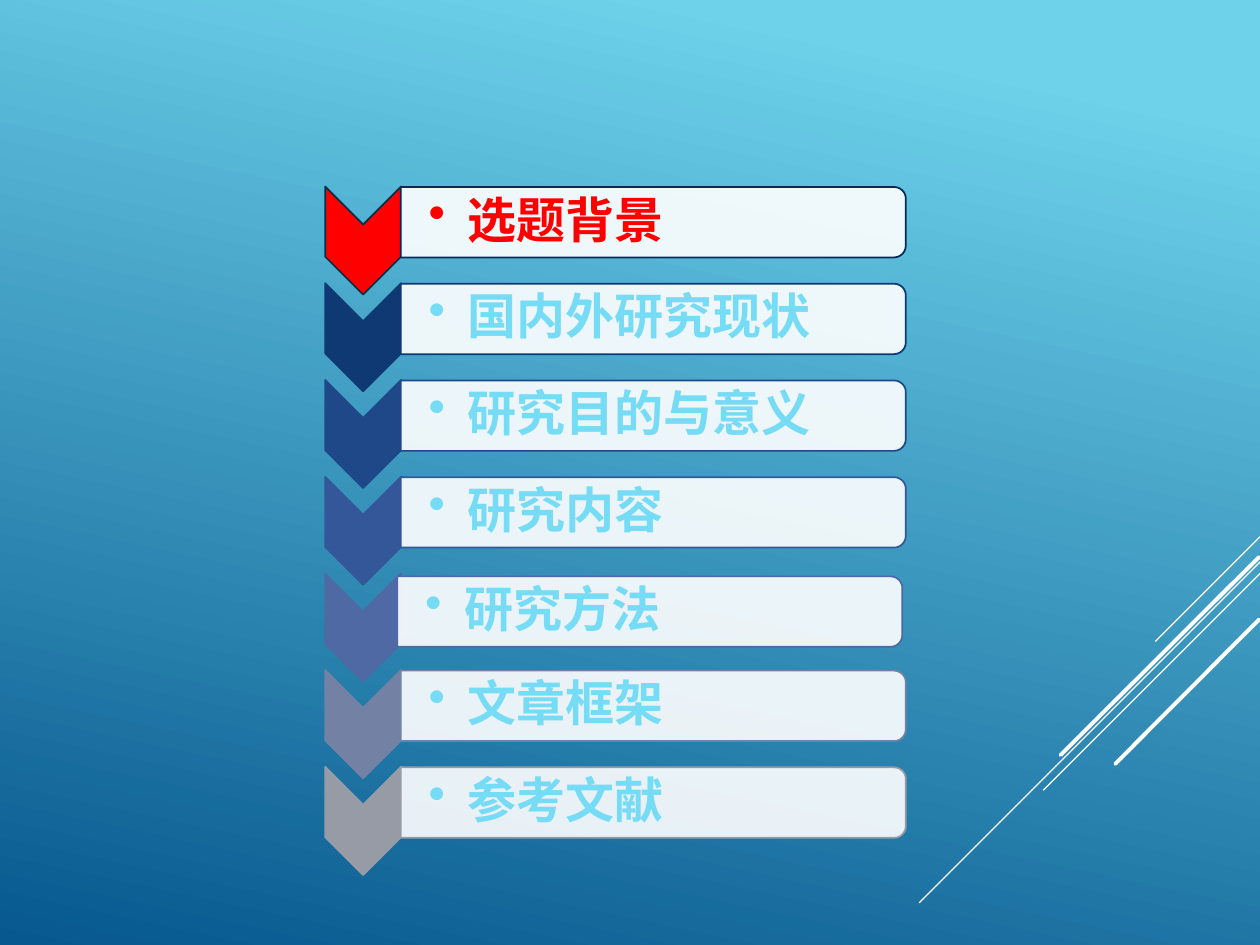
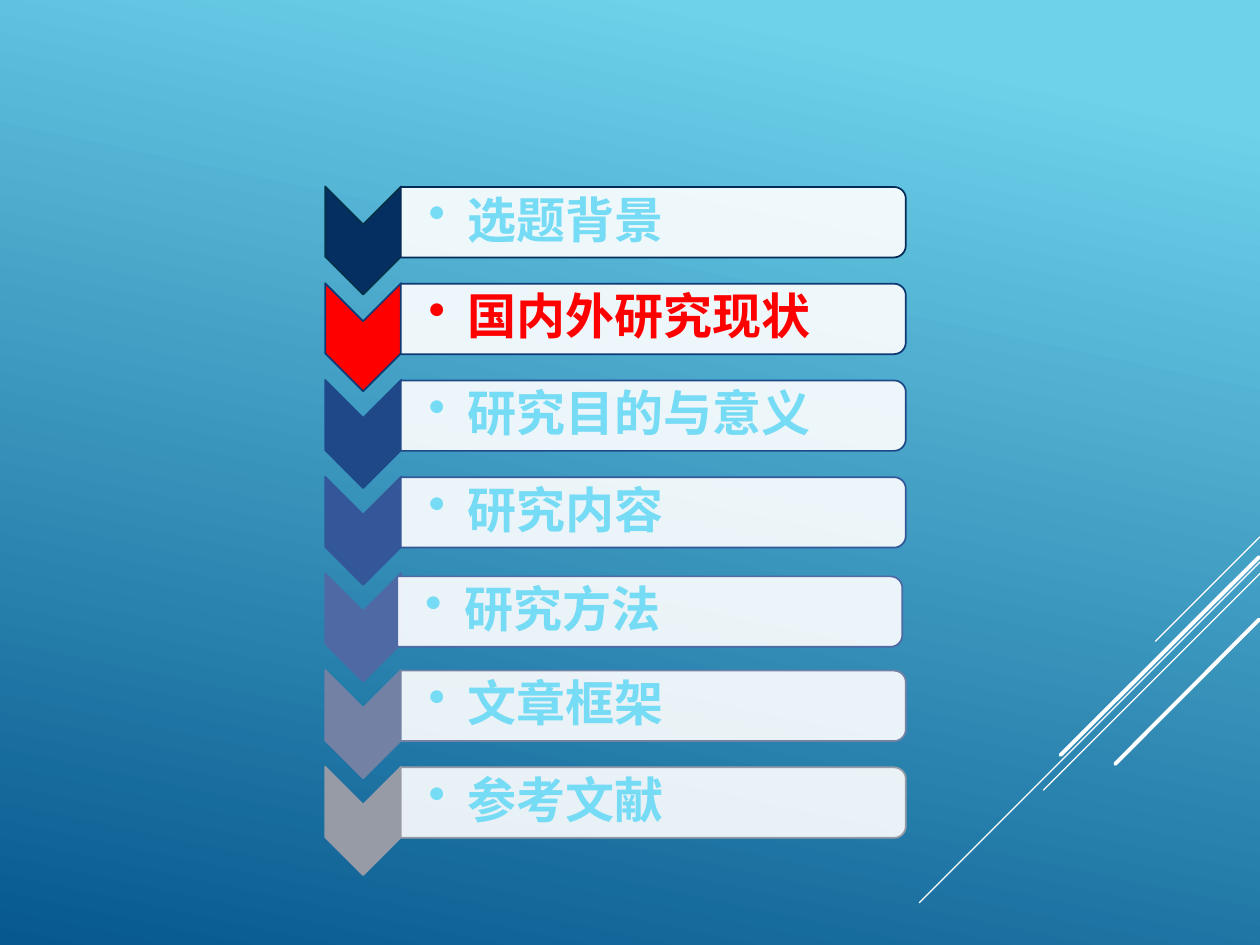
import pptx
import pptx.util
import pptx.dml.color
import pptx.enum.shapes
import pptx.enum.text
import pptx.oxml.ns
from lxml import etree

Cm = pptx.util.Cm
Pt = pptx.util.Pt
RGBColor = pptx.dml.color.RGBColor
MSO_SHAPE = pptx.enum.shapes.MSO_SHAPE
qn = pptx.oxml.ns.qn

COLORS = {
    "sky": "6ED2EB",
    "ocean": "06588E",
    "white": "FFFFFF",
    "active": "FF0000",
    "muted": "76DBF4",
}
FONT = "League Spartan"

SECTIONS = [
    ("选题背景", "052F61", "043148", "052B58"),
    ("国内外研究现状", "0F3973", "0F3973", "0F3973"),
    ("研究目的与意义", "1F4888", "1F4888", "1F4888"),
    ("研究内容", "345799", "345799", "345799"),
    ("研究方法", "4E69A4", "4E69A4", "4E69A4"),
    ("文章框架", "7381A5", "7381A5", "7381A5"),
    ("参考文献", "979BA6", "979BA6", "979BA6"),
]
NUDGES = {4: (-0.07, 0.05)}
ROW_PITCH = 1.95

DIAGONALS = [
    (25.4, 10.82, 23.29, 12.93, 0.75),
    (25.4, 11.33, 18.53, 18.2, 0.75),
    (25.4, 11.56, 21.03, 15.93, 0.75),
    (25.38, 11.23, 21.38, 15.22, 2.25),
    (25.38, 12.49, 22.48, 15.4, 2.25),
]


def add_turned_shape(slide, kind, center_x, center_y, width, height, fill, line):
    shape = slide.shapes.add_shape(
        kind, Cm(center_x - width / 2), Cm(center_y - height / 2), Cm(width), Cm(height))
    shape.rotation = 90
    shape.shadow.inherit = False
    shape.fill.solid()
    shape.fill.fore_color.rgb = RGBColor.from_string(fill)
    shape.line.color.rgb = RGBColor.from_string(line)
    shape.line.width = Pt(1)
    return shape


def add_bullet(paragraph, color):
    properties = paragraph._p.get_or_add_pPr()
    properties.set("marL", str(Cm(0.79)))
    properties.set("indent", str(-Cm(0.79)))
    bullet_color = etree.SubElement(properties, qn("a:buClr"))
    etree.SubElement(bullet_color, qn("a:srgbClr"), val=color)
    etree.SubElement(properties, qn("a:buChar"), char="•")


presentation = pptx.Presentation()
presentation.slide_width = Cm(25.4)
presentation.slide_height = Cm(19.05)

background = presentation.slide_master.background.fill
background.gradient()
background.gradient_angle = 258
for stop, position, name in zip(background.gradient_stops, (0.1, 1), ("sky", "ocean")):
    stop.position = position
    stop.color.rgb = RGBColor.from_string(COLORS[name])

for active_row in range(2):
    slide = presentation.slides.add_slide(presentation.slide_layouts[6])

    for start_x, start_y, end_x, end_y, weight in DIAGONALS:
        connector = slide.shapes.add_connector(
            pptx.enum.shapes.MSO_CONNECTOR.STRAIGHT,
            Cm(start_x), Cm(start_y), Cm(end_x), Cm(end_y))
        connector.line.color.rgb = RGBColor.from_string(COLORS["white"])
        connector.line.width = Pt(weight)
        connector_properties = connector._element.spPr
        if weight > 1:
            connector_properties.find(qn("a:ln")).set("cap", "rnd")
        etree.SubElement(connector_properties, qn("a:effectLst"))

    for row, (title, chevron_fill, chevron_line, bar_line) in enumerate(SECTIONS):
        is_active = row == active_row
        offset = row * ROW_PITCH
        nudge_x, nudge_y = NUDGES.get(row, (0, 0))
        text_color = COLORS["active" if is_active else "muted"]

        add_turned_shape(slide, MSO_SHAPE.CHEVRON, 7.32, 4.85 + offset, 2.18, 1.53,
                         COLORS["active"] if is_active else chevron_fill, chevron_line)

        bar = add_turned_shape(slide, MSO_SHAPE.ROUND_2_SAME_RECTANGLE,
                               13.17 + nudge_x, 4.48 + offset + nudge_y, 1.42, 10.18,
                               COLORS["white"], bar_line)
        bar_color = bar._element.spPr.find(qn("a:solidFill"))[0]
        etree.SubElement(bar_color, qn("a:alpha"), val="90000")

        label = slide.shapes.add_textbox(
            Cm(8.08 + nudge_x), Cm(3.84 + offset + nudge_y), Cm(10.11), Cm(1.28))
        frame = label.text_frame
        frame.word_wrap = True
        frame.vertical_anchor = pptx.enum.text.MSO_ANCHOR.MIDDLE
        frame.margin_left = Cm(0.56)
        frame.margin_right = frame.margin_top = frame.margin_bottom = Cm(0.05)
        paragraph = frame.paragraphs[0]
        paragraph.text = title
        add_bullet(paragraph, text_color)
        paragraph.line_spacing = 0.9
        paragraph.font.name = FONT
        paragraph.font.size = Pt(28)
        paragraph.font.bold = True
        paragraph.font.color.rgb = RGBColor.from_string(text_color)

presentation.save("out.pptx")
